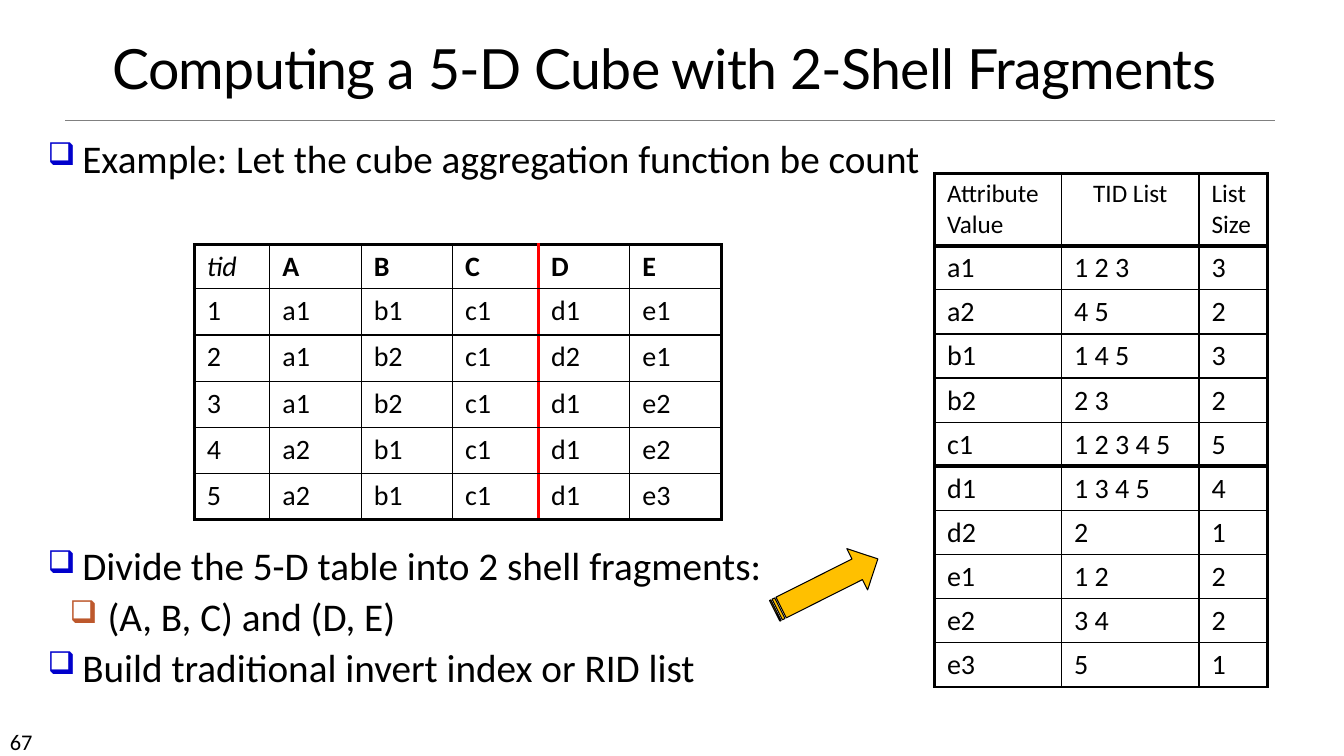
from lxml.etree import SubElement as Sub
from pptx import Presentation
from pptx.dml.color import RGBColor
from pptx.enum.shapes import MSO_CONNECTOR as Link, MSO_SHAPE as Kind
from pptx.enum.text import MSO_ANCHOR as Anchor, PP_ALIGN as Align
from pptx.oxml.ns import qn
from pptx.util import Pt

PX = 9525
hue = RGBColor.from_string


def write(frame, text, size=20, font="Calibri", bold=False, slant=False,
          align=Align.LEFT, lead=None, gap=0, track=0, mark=None, left=0, hang=0):
    para = frame.paragraphs[0]
    if para.runs:
        para = frame.add_paragraph()
    if mark:
        props = para._p.get_or_add_pPr()
        props.set("marL", str(left * PX))
        props.set("indent", str(-hang * PX))
        Sub(Sub(props, qn("a:buClr")), qn("a:srgbClr"), val=mark)
        Sub(props, qn("a:buSzPct"), val="80000")
        Sub(props, qn("a:buChar"), char="❑")
    para.alignment = align
    para.space_before = Pt(gap)
    if lead:
        para.line_spacing = lead
    run = para.add_run()
    run.text = text
    run.font.size = Pt(size)
    run.font.name = font
    run.font.bold = bold
    run.font.italic = slant
    run.font.color.rgb = hue("000000")
    if track:
        run._r.get_or_add_rPr().set("spc", str(track))


def edge(cell, side, width, tint="000000"):
    line = Sub(cell._tc.get_or_add_tcPr(), qn("a:ln" + side), w=str(Pt(width)))
    Sub(Sub(line, qn("a:solidFill")), qn("a:srgbClr"), val=tint)


deck = Presentation()
deck.slide_width = 1280 * PX
deck.slide_height = 720 * PX
slide = deck.slides.add_slide(deck.slide_layouts[6])
shapes = slide.shapes

rule = shapes.add_connector(Link.STRAIGHT, 62 * PX, 115 * PX, 1214 * PX, 115 * PX)
rule.line.color.rgb = hue("808080")
rule.line.width = Pt(0.5)
Sub(rule._element.spPr, qn("a:effectLst"))

frames = []
for box in [(0, 689, 112, 29), (36, 23, 1193, 78), (36, 128, 880, 48), (36, 516, 760, 160)]:
    frame = shapes.add_textbox(*[n * PX for n in box]).text_frame
    frame.word_wrap = True
    frames.append(frame)
page, title, top, steps = frames

write(page, "67", size=16)
title.vertical_anchor = Anchor.BOTTOM
write(title, "Computing a 5-D Cube with 2-Shell Fragments", size=39.6, font="Lato",
      align=Align.CENTER, lead=0.85, track=-50)

main = dict(size=28, lead=0.9, mark="0000CC", left=33, hang=33)
sub = dict(size=28, lead=0.9, mark="BD582C", left=57, hang=36)
write(top, "Example: Let the cube aggregation function be count", **main)
write(steps, "Divide the 5-D table into 2 shell fragments:", **main)
write(steps, "(A, B, C) and (D, E)", gap=6, **sub)
write(steps, "Build traditional invert index or RID list", gap=6, **main)

facts = [
    ["tid", "A", "B", "C", "D", "E"],
    ["1", "a1", "b1", "c1", "d1", "e1"],
    ["2", "a1", "b2", "c1", "d2", "e1"],
    ["3", "a1", "b2", "c1", "d1", "e2"],
    ["4", "a2", "b1", "c1", "d1", "e2"],
    ["5", "a2", "b1", "c1", "d1", "e3"],
]
index = [
    ["Attribute Value", "TID List", "List Size"],
    ["a1", "1 2 3", "3"],
    ["a2", "4 5", "2"],
    ["b1", "1 4 5", "3"],
    ["b2", "2 3", "2"],
    ["c1", "1 2 3 4 5", "5"],
    ["d1", "1 3 4 5", "4"],
    ["d2", "2", "1"],
    ["e1", "1 2", "2"],
    ["e2", "3 4", "2"],
    ["e3", "5", "1"],
]
heads = {
    "tid": dict(slant=True),
    "Attribute Value": dict(size=18),
    "TID List": dict(size=18, align=Align.CENTER),
    "List Size": dict(size=18),
}
heads.update({name: dict(bold=True) for name in "ABCDE"})

tables = [
    (facts, 185, 233, [72, 87, 87, 82, 87, 87], [42] + [44] * 5, {4: (3, "FF0000")}, {}),
    (index, 890, 165, [121, 131, 65], [69] + [42] * 10, {}, {1: (3,), 6: (3,)}),
]
for data, x, y, wide, high, cuts, bars in tables:
    grid = shapes.add_table(len(high), len(wide), x * PX, y * PX,
                            sum(wide) * PX, sum(high) * PX).table
    grid.first_row = grid.horz_banding = False
    for col, size in zip(grid.columns, wide):
        col.width = size * PX
    for row, size in zip(grid.rows, high):
        row.height = size * PX
    cuts = {0: (2.25,), len(wide): (2.25,), **cuts}
    bars = {0: (2.25,), len(high): (2.25,), **bars}
    for r, row in enumerate(data):
        for c, text in enumerate(row):
            cell = grid.cell(r, c)
            cell.margin_left = cell.margin_right = 12 * PX
            cell.margin_top = cell.margin_bottom = 5 * PX
            edge(cell, "L", *cuts.get(c, (1,)))
            edge(cell, "R", *cuts.get(c + 1, (1,)))
            edge(cell, "T", *bars.get(r, (1,)))
            edge(cell, "B", *bars.get(r + 1, (1,)))
            cell.fill.background()
            write(cell.text_frame, text, **heads.get(text, {}))

arrow = shapes.add_shape(Kind.STRIPED_RIGHT_ARROW, 732 * PX, 535 * PX, 110 * PX, 44 * PX)
arrow.rotation = 333.3
arrow.shadow.inherit = False
arrow.fill.solid()
arrow.fill.fore_color.rgb = hue("FFC000")
arrow.line.color.rgb = hue("000000")
arrow.line.width = Pt(0.75)

deck.save("out.pptx")
